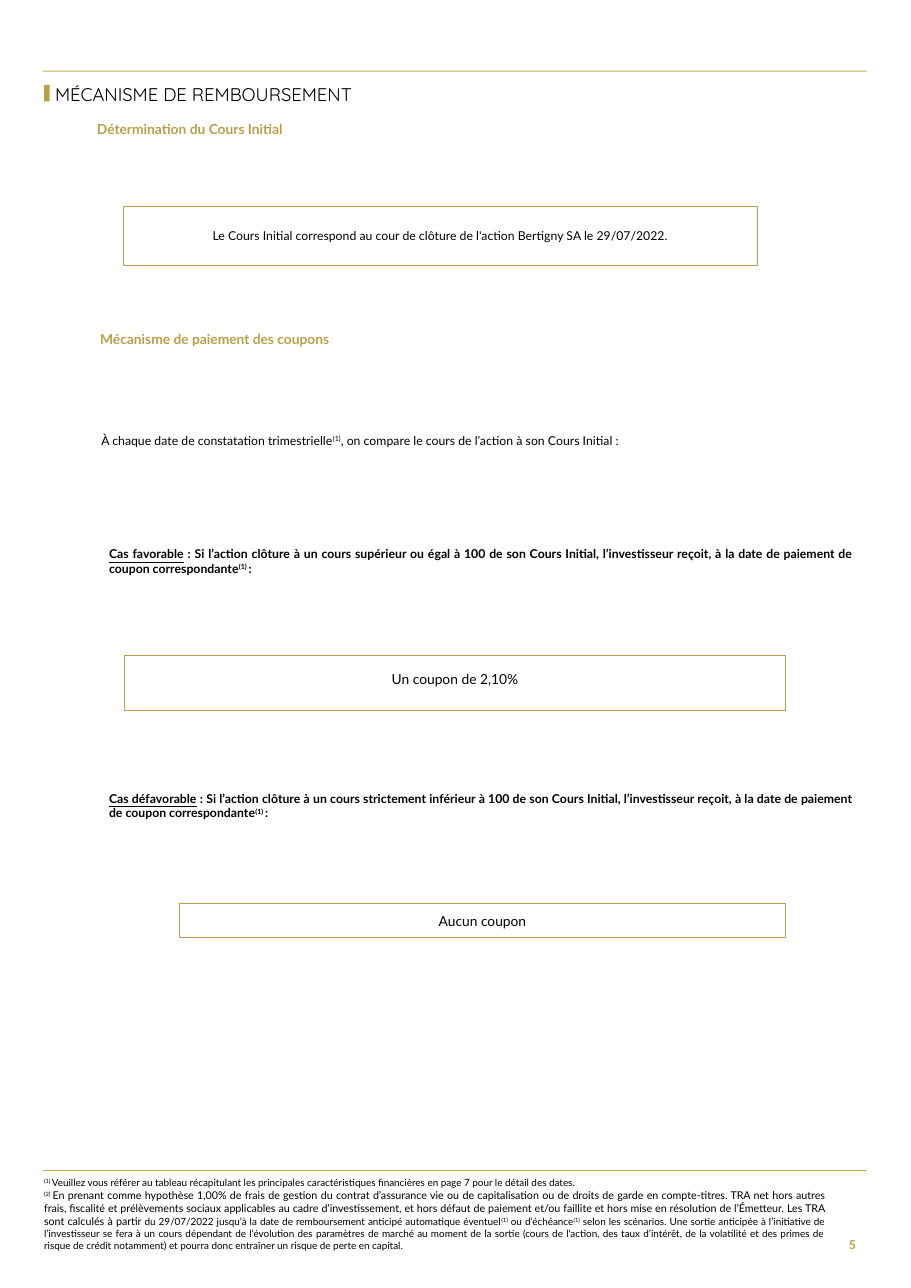
from pptx import Presentation
from pptx.dml.color import RGBColor
from pptx.enum.shapes import MSO_SHAPE
from pptx.enum.text import MSO_ANCHOR, PP_ALIGN
from pptx.util import Inches, Pt

GOLD = RGBColor(0xB9, 0xA0, 0x49)
RULE = RGBColor(0xC5, 0xAF, 0x5C)
BLACK = RGBColor(0, 0, 0)
WHITE = RGBColor(255, 255, 255)
JUST = PP_ALIGN.JUSTIFY


class Page:
    """Holds the style and the current slide, and draws each kind of element."""

    def __init__(self, deck):
        self.slide = deck.slides.add_slide(deck.slide_layouts[6])
        self.font = "Lato"

    def fill_text(self, frame, paras, size, color=BLACK, bold=False,
                  align=PP_ALIGN.LEFT, font=None, inset=(0, 0, 0, 0),
                  anchor=MSO_ANCHOR.TOP):
        frame.word_wrap = True
        frame.vertical_anchor = anchor
        (frame.margin_left, frame.margin_top,
         frame.margin_right, frame.margin_bottom) = map(Inches, inset)
        for i, parts in enumerate(paras):
            para = frame.add_paragraph() if i else frame.paragraphs[0]
            para.alignment = align
            for part in parts:
                text, mark = part if isinstance(part, tuple) else (part, "")
                run = para.add_run()
                run.text = text
                run.font.name = font or self.font
                run.font.size = Pt(7 if mark == "large" else size)
                run.font.bold = bold
                run.font.color.rgb = color
                if mark == "under":
                    run.font.underline = True
                if mark == "super":
                    run._r.get_or_add_rPr().set("baseline", "30000")

    def text(self, x, y, w, h, *paras, **style):
        box = self.slide.shapes.add_textbox(*map(Inches, (x, y, w, h)))
        self.fill_text(box.text_frame, paras, **style)

    def rect(self, x, y, w, h, fill=None):
        shape = self.slide.shapes.add_shape(
            MSO_SHAPE.RECTANGLE, *map(Inches, (x, y, w, h)))
        shape.shadow.inherit = False
        shape.line.fill.background()
        if fill is None:
            shape.fill.background()
        else:
            shape.fill.solid()
            shape.fill.fore_color.rgb = fill
        return shape

    def frame(self, x, y, w, h, text, size, width=0.75, fill=WHITE,
              top=0.08, base=0.08):
        shape = self.rect(x, y, w, h, fill)
        shape.line.color.rgb = GOLD
        shape.line.width = Pt(width)
        self.fill_text(shape.text_frame, [[text]], size, align=PP_ALIGN.CENTER,
                       inset=(0.12, top, 0.12, base), anchor=MSO_ANCHOR.MIDDLE)

    def head(self, x, y, text):
        self.text(x, y, 3.5, 0.18, [text], size=9, color=GOLD, bold=True)

    def case(self, y, name, test):
        self.text(0.99, y, 6.76, 0.27, [
            (name, "under"),
            f" : Si l’action clôture à un cours {test} à 100 de son Cours Initial, "
            "l’investisseur reçoit, à la date de paiement de coupon correspondante",
            ("(1) ", "super"), ":"], size=8, bold=True, align=JUST)


def main():
    deck = Presentation()
    deck.slide_width, deck.slide_height = Inches(8.27), Inches(11.69)
    page = Page(deck)

    for y in (0.64, 10.62):
        page.rect(0.39, y, 7.48, 0.01, RULE)
    page.rect(0.4, 0.77, 0.05, 0.15, GOLD)
    page.text(0.5, 0.73, 4.21, 0.25, ["MÉCANISME DE REMBOURSEMENT"], size=12,
              font="Quicksand", anchor=MSO_ANCHOR.MIDDLE)

    page.head(0.88, 1.1, "Détermination du Cours Initial")
    page.frame(1.12, 1.87, 5.76, 0.54,
               "Le Cours Initial correspond au cour de clôture de l'action "
               "Bertigny SA le 29/07/2022.", 8, width=0.5, fill=None, top=0.2, base=0.2)

    page.head(0.91, 3, "Mécanisme de paiement des coupons")
    page.text(0.92, 3.93, 6.57, 0.13, [
        "À chaque date de constatation trimestrielle", ("(1)", "super"),
        ", on compare le cours de l’action à son Cours Initial :"], size=8, align=JUST)
    page.case(4.96, "Cas favorable", "supérieur ou égal")
    page.frame(1.13, 5.95, 6, 0.5, "Un coupon de 2,10%", 9, top=0.15, base=0.22)
    page.case(7.18, "Cas défavorable", "strictement inférieur")
    page.frame(1.63, 8.2, 5.5, 0.31, "Aucun coupon", 9)

    page.text(0.4, 10.68, 7.09, 0.68, [
        ("(1) ", "super"),
        "Veuillez vous référer au tableau récapitulant les principales "
        "caractéristiques financières en page 7 pour le détail des dates."], [
        ("(2) ", "super"),
        ("En prenant comme hypothèse 1,00% de frais de gestion du contrat "
         "d’assurance vie ou de capitalisation ou de droits de garde en "
         "compte-titres. TRA net hors autres frais, fiscalité et prélèvements "
         "sociaux applicables au cadre d’investissement, et hors défaut de paiement "
         "et/ou faillite et hors mise en résolution de l’Émetteur. Les TRA sont "
         "calculés à partir ", "large"),
        "du 29/07/2022 jusqu’à la date de remboursement anticipé automatique éventuel",
        ("(1)", "super"), " ou d’échéance", ("(1)", "super"),
        " selon les scénarios. Une sortie anticipée à l’initiative de l’investisseur "
        "se fera à un cours dépendant de l’évolution des paramètres de marché au "
        "moment de la sortie (cours de l'action, des taux d’intérêt, de la "
        "volatilité et des primes de risque de crédit notamment) et pourra donc "
        "entraîner un risque de perte en capital."], size=6.5, align=JUST)
    page.text(7.48, 11.09, 0.39, 0.42, ["5"], size=8, color=GOLD, bold=True,
              align=PP_ALIGN.RIGHT, inset=(0.1, 0.05, 0.1, 0.05),
              anchor=MSO_ANCHOR.MIDDLE)

    deck.save("out.pptx")


if __name__ == "__main__":
    main()
